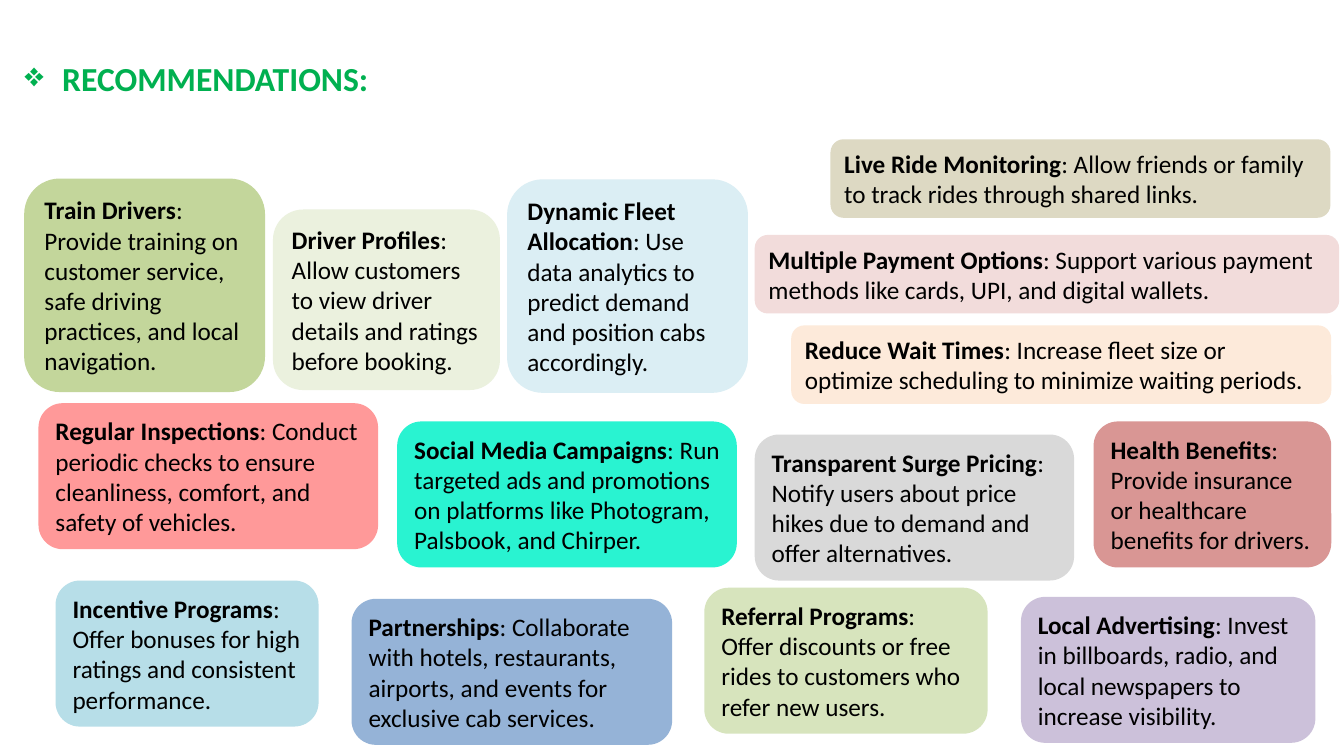
"""Build the recommendations slide with its rounded cards."""
from dataclasses import dataclass

from lxml import etree
from pptx import Presentation
from pptx.dml.color import RGBColor
from pptx.enum import shapes, text
from pptx.oxml import ns
from pptx.util import Cm, Pt

FONT = "Calibri"
BLACK = RGBColor(0x00, 0x00, 0x00)
GREEN = RGBColor(0x00, 0xB0, 0x50)
MOSS = RGBColor(0xC3, 0xD6, 0x9B)
IVORY = RGBColor(0xEB, 0xF1, 0xDE)
ICE = RGBColor(0xDB, 0xEE, 0xF4)
PEACH = RGBColor(0xFD, 0xEA, 0xDA)
ROSE = RGBColor(0xF2, 0xDC, 0xDB)
SAND = RGBColor(0xDD, 0xD9, 0xC3)
GREY = RGBColor(0xD9, 0xD9, 0xD9)
CORAL = RGBColor(0xFF, 0x99, 0x99)
SKY = RGBColor(0xB7, 0xDE, 0xE8)
BRICK = RGBColor(0xD9, 0x96, 0x94)
LILAC = RGBColor(0xCC, 0xC1, 0xDA)
LIME = RGBColor(0xD7, 0xE4, 0xBD)
TURQUOISE = RGBColor(0x29, 0xF3, 0xD1)
BLUE = RGBColor(0x95, 0xB3, 0xD7)

HEIGHTS = {2: 1.98, 4: 3.68, 5: 4.55, 6: 5.38}


@dataclass
class Card:
    left: float
    top: float
    width: float
    lines: int
    fill: RGBColor
    heading: str
    body: str


CARDS = [
    Card(0.61, 4.5, 6.07, 6, MOSS, "Train Drivers",
         "Provide training on customer service, safe driving practices, and local navigation."),
    Card(6.88, 5.28, 5.72, 5, IVORY, "Driver Profiles",
         "Allow customers to view driver details and ratings before booking."),
    Card(12.78, 4.52, 6.07, 6, ICE, "Dynamic Fleet Allocation",
         "Use data analytics to predict demand and position cabs accordingly."),
    Card(19.94, 8.2, 13.61, 2, PEACH, "Reduce Wait Times",
         "Increase fleet size or optimize scheduling to minimize waiting periods."),
    Card(19.02, 5.92, 14.73, 2, ROSE, "Multiple Payment Options",
         "Support various payment methods like cards, UPI, and digital wallets."),
    Card(20.93, 3.51, 12.6, 2, SAND, "Live Ride Monitoring",
         "Allow friends or family to track rides through shared links."),
    Card(19.02, 10.95, 8.05, 4, GREY, "Transparent Surge Pricing",
         "Notify users about price hikes due to demand and offer alternatives."),
    Card(0.97, 10.16, 8.56, 4, CORAL, "Regular Inspections",
         "Conduct periodic checks to ensure cleanliness, comfort, and safety of vehicles."),
    Card(1.4, 14.63, 6.63, 4, SKY, "Incentive Programs",
         "Offer bonuses for high ratings and consistent performance."),
    Card(27.56, 10.62, 5.99, 4, BRICK, "Health Benefits",
         "Provide insurance or healthcare benefits for drivers."),
    Card(25.73, 15.04, 7.42, 4, LILAC, "Local Advertising",
         "Invest in billboards, radio, and local newspapers to increase visibility."),
    Card(17.75, 14.81, 7.14, 4, LIME, "Referral Programs",
         "Offer discounts or free rides to customers who refer new users."),
    Card(10.01, 10.62, 8.56, 4, TURQUOISE, "Social Media Campaigns",
         "Run targeted ads and promotions on platforms like Photogram, Palsbook, and Chirper."),
    Card(8.86, 15.09, 8.08, 4, BLUE, "Partnerships",
         "Collaborate with hotels, restaurants, airports, and events for exclusive cab services."),
]


def add_box(s, left: float, top: float, width: float, height: float):
    sp = s.shapes.add_shape(shapes.MSO_SHAPE.ROUNDED_RECTANGLE,
                            Cm(left), Cm(top), Cm(width), Cm(height))
    sp.shadow.inherit = False
    sp.line.fill.background()
    tf = sp.text_frame
    tf.word_wrap = True
    tf.auto_size = text.MSO_AUTO_SIZE.SHAPE_TO_FIT_TEXT
    tf.vertical_anchor = text.MSO_ANCHOR.MIDDLE
    tf.paragraphs[0].alignment = text.PP_ALIGN.LEFT
    return sp


def set_font(p, size: int, color: RGBColor) -> None:
    p.font.name = FONT
    p.font.size = Pt(size)
    p.font.color.rgb = color


def add_title(s) -> None:
    sp = add_box(s, 0.3, 1.27, 9.7, 1.42)
    sp.fill.background()
    p = sp.text_frame.paragraphs[0]
    p.add_run().text = "RECOMMENDATIONS:"
    props = p._p.get_or_add_pPr()
    props.set("marL", str(Cm(0.95)))
    props.set("indent", str(-Cm(0.95)))
    etree.SubElement(props, ns.qn("a:buChar")).set("char", "❖")
    set_font(p, 24, GREEN)
    p.font.bold = True


def add_card(s, card: Card) -> None:
    sp = add_box(s, card.left, card.top, card.width, HEIGHTS[card.lines])
    sp.fill.solid()
    sp.fill.fore_color.rgb = card.fill
    p = sp.text_frame.paragraphs[0]
    set_font(p, 18, BLACK)
    r = p.add_run()
    r.text = card.heading
    r.font.bold = True
    p.add_run().text = f": {card.body}"


def main() -> None:
    prs = Presentation()
    prs.slide_width, prs.slide_height = Cm(33.87), Cm(19.05)
    s = prs.slides.add_slide(prs.slide_layouts[6])
    add_title(s)
    for card in CARDS:
        add_card(s, card)
    prs.save("out.pptx")


if __name__ == "__main__":
    main()
